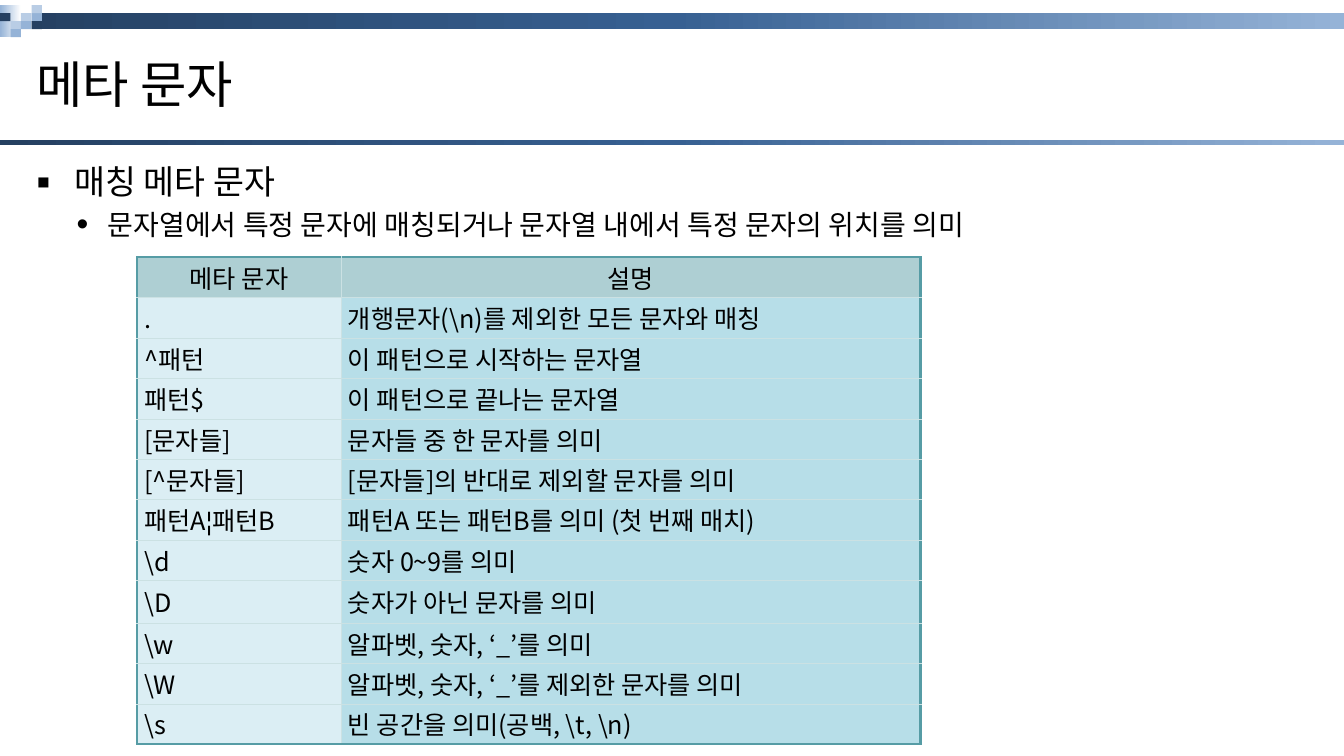
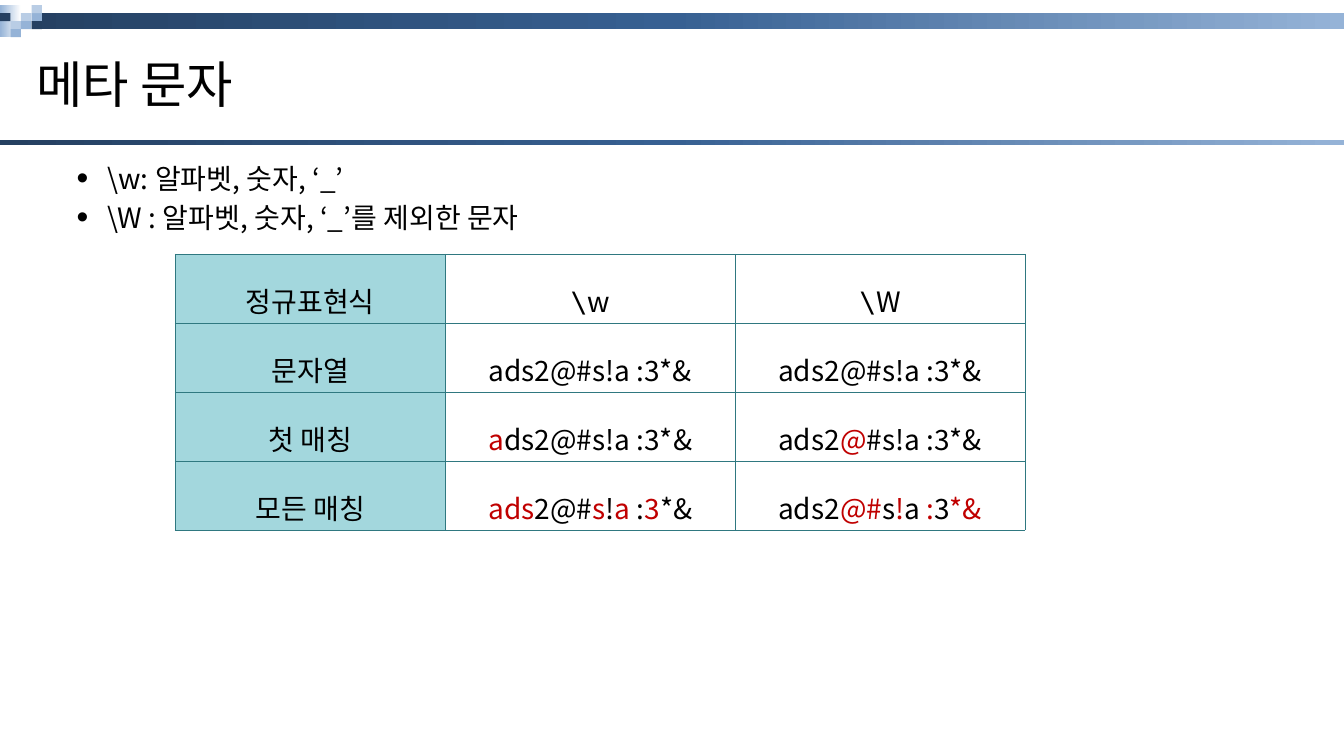
from lxml.etree import SubElement as Sub
from pptx import Presentation
from pptx.dml.color import RGBColor as Rgb
from pptx.enum.shapes import MSO_SHAPE as Shape
from pptx.enum.text import MSO_ANCHOR as Anchor, PP_ALIGN as Align
from pptx.oxml.ns import qn
from pptx.util import Pt

HUES = {
    "navy": "254061", "blue": "376092", "light": "95B3D7", "pale": "B9CDE5",
    "white": "FFFFFF", "black": "000000", "red": "C00000",
    "head": "AECFD3", "key": "DBEEF4", "note": "B7DEE8", "label": "A3D7DD",
    "frame": "569CA5", "rule": "CBE1E3", "grid": "2F7880",
}
FACE, SANS, MONO = "Noto Sans CJK KR", "Arial", "DejaVu Sans Mono"
WIDE, HIGH = 960, 540
TITLE = "메타 문자"
BAND = ("navy", "blue", "light")
# Column, row and colour of each tile in the corner mosaic
TILES = [(2, 1, "pale"), (3, 1, "light"), (1, 2, "pale"), (2, 2, "light"),
         (3, 2, "navy"), (1, 3, "light"), (0, 1, "navy"), (3, 0, "pale")]
TILE_W, TILE_H, TILE_TOP = 7.5, 5.75, 3.6
# Bullet sign, text size, left margin and hanging indent for each level
LEVELS = [("▪", 24, 27.4, 27.4), ("•", 20, 51.1, 22.3)]

SIGNS = [
    (".", "개행문자(\\n)를 제외한 모든 문자와 매칭"),
    ("^패턴", "이 패턴으로 시작하는 문자열"),
    ("패턴$", "이 패턴으로 끝나는 문자열"),
    ("[문자들]", "문자들 중 한 문자를 의미"),
    ("[^문자들]", "[문자들]의 반대로 제외할 문자를 의미"),
    ([("패턴A", "black", FACE), ("¦", "black", SANS), ("패턴B", "black", FACE)],
     "패턴A 또는 패턴B를 의미 (첫 번째 매치)"),
    ("\\d", "숫자 0~9를 의미"),
    ("\\D", "숫자가 아닌 문자를 의미"),
    ("\\w", "알파벳, 숫자, ‘_’를 의미"),
    ("\\W", "알파벳, 숫자, ‘_’를 제외한 문자를 의미"),
    ("\\s", "빈 공간을 의미(공백, \\t, \\n)"),
]


def hue(name):
    return Rgb.from_string(HUES[name])


def place(shape, left, top, width, height):
    shape.left, shape.top = Pt(left), Pt(top)
    shape.width, shape.height = Pt(width), Pt(height)


def write(par, text, size):
    """Add text, given as a string or as (text, colour, face) runs."""
    runs = [(text, "black", FACE)] if isinstance(text, str) else text
    for words, tint, face in runs:
        run = par.add_run()
        run.text = words
        run.font.size, run.font.name = Pt(size), face
        run.font.color.rgb = hue(tint)
        Sub(run.font._element, qn("a:ea"), typeface=face)


def mark(text):
    """Split at bars into runs that alternate black and red."""
    parts = enumerate(text.split("|"))
    return [(part, ("black", "red")[i % 2], FACE) for i, part in parts if part]


def escape(letter):
    return [("\\", "black", MONO), (letter, "black", FACE)]


def box(slide, area, *tints):
    """Draw a plain rectangle; several tints make a gradient."""
    shape = slide.shapes.add_shape(Shape.RECTANGLE, *map(Pt, area))
    shape.shadow.inherit = False
    shape.line.fill.background()
    shape.fill.solid()
    shape.fill.fore_color.rgb = hue(tints[0])
    if len(tints) > 1:
        props = shape.element.spPr
        solid = props.find(qn("a:solidFill"))
        grad = Sub(props, qn("a:gradFill"), rotWithShape="1")
        props.replace(solid, grad)
        stops = Sub(grad, qn("a:gsLst"))
        for i, tint in enumerate(tints):
            stop = Sub(stops, qn("a:gs"), pos=str(100000 * i // (len(tints) - 1)))
            Sub(stop, qn("a:srgbClr"), val=HUES[tint])
        Sub(grad, qn("a:lin"), ang="0", scaled="0")
    return shape


def dress(layout, slide):
    """Draw the shared bands, then move them from the slide to its layout."""
    parts = [box(slide, (0, 9.4, WIDE, 11.4), *BAND),
             box(slide, (0, TILE_TOP, 30, 4 * TILE_H), "light", "white", "white")]
    for col, row, tint in TILES:
        area = (col * TILE_W, TILE_TOP + row * TILE_H, TILE_W, TILE_H)
        parts.append(box(slide, area, tint))
    parts.append(box(slide, (0, 100, WIDE, 3.7), *BAND))
    for i, part in enumerate(parts):
        part.element.nvSpPr.cNvPr.id = 100 + i
        layout.shapes.element.insert(2 + i, part.element)


def fit(layout):
    """Set the title and body areas for every slide."""
    for hold in layout.placeholders:
        if hold.placeholder_format.idx == 0:
            place(hold, 18.7, 25.9, 922.4, 67.7)
        elif hold.placeholder_format.idx == 1:
            place(hold, 18.7, 111.6, 922.4, 408.2)


def fill_in(slide, items):
    """Write the title and a list of (level, text) items."""
    head = slide.shapes.title.text_frame
    head.vertical_anchor = Anchor.MIDDLE
    head.paragraphs[0].alignment = Align.LEFT
    write(head.paragraphs[0], TITLE, 36)
    frame = slide.placeholders[1].text_frame
    for i, (level, text) in enumerate(items):
        par = frame.add_paragraph() if i else frame.paragraphs[0]
        sign, size, left, hang = LEVELS[level]
        par.level = level
        props = par._p.get_or_add_pPr()
        props.set("marL", str(Pt(left)))
        props.set("indent", str(-Pt(hang)))
        Sub(props, qn("a:buSzPct"), val="120000")
        Sub(props, qn("a:buFont"), typeface=SANS)
        Sub(props, qn("a:buChar"), char=sign)
        write(par, text, size)


def edge(cell, side, tint, width):
    line = Sub(cell._tc.get_or_add_tcPr(), qn("a:ln" + side), w=str(Pt(width)))
    Sub(Sub(line, qn("a:solidFill")), qn("a:srgbClr"), val=HUES[tint])


def add_grid(slide, spot, cols, rows):
    area = (*spot, sum(cols), sum(rows))
    grid = slide.shapes.add_table(len(rows), len(cols), *map(Pt, area)).table
    grid.first_row = grid.horz_banding = False
    for col, width in zip(grid.columns, cols):
        col.width = Pt(width)
    for row, height in zip(grid.rows, rows):
        row.height = Pt(height)
    return grid


def set_cell(cell, text, size, align, tint, edges):
    """Fill one cell; edges holds (colour, width) for left, right, top, bottom."""
    cell.margin_left = cell.margin_right = Pt(5.1)
    cell.margin_top = cell.margin_bottom = Pt(1.4)
    cell.vertical_anchor = Anchor.MIDDLE
    for side, style in zip("LRTB", edges):
        edge(cell, side, *style)
    if tint:
        cell.fill.solid()
        cell.fill.fore_color.rgb = hue(tint)
    else:
        cell.fill.background()
    par = cell.text_frame.paragraphs[0]
    par.alignment = align
    write(par, text, size)
    return par


def sign_table(slide):
    data = [("메타 문자", "설명")] + SIGNS
    rows = [28.9] * len(data)
    rows[8] = 30.2
    grid = add_grid(slide, (97.9, 183.6), (145.6, 414), rows)
    last = len(data) - 1
    for r, pair in enumerate(data):
        for c, text in enumerate(pair):
            outer = (c == 0, c == 1, r == 0, r == last)
            edges = [("frame", 1.7) if out else ("rule", 0.28) for out in outer]
            tint = ("key", "note")[c] if r else "head"
            align = Align.JUSTIFY if r else Align.CENTER
            set_cell(grid.cell(r, c), text, 18, align, tint, edges)


def match_table(slide):
    data = [
        ("정규표현식", escape("w"), escape("W")),
        ("문자열", "ads2@#s!a :3*&", "ads2@#s!a :3*&"),
        ("첫 매칭", mark("|a|ds2@#s!a :3*&"), mark("ads2|@|#s!a :3*&")),
        ("모든 매칭", mark("|ads|2@#|s|!|a| :|3|*&"),
         mark("ads2|@#|s|!|a| :|3|*&")),
    ]
    grid = add_grid(slide, (125, 181.4), (193.2, 207, 207), [49] * len(data))
    for r, row in enumerate(data):
        for c, text in enumerate(row):
            par = set_cell(grid.cell(r, c), text, 20, Align.CENTER,
                           None if c else "label", [("grid", 0.28)] * 4)
            par.line_spacing = 1.6


def main():
    deck = Presentation()
    deck.slide_width, deck.slide_height = Pt(WIDE), Pt(HIGH)
    layout = deck.slide_layouts[1]
    fit(layout)

    signs = deck.slides.add_slide(layout)
    dress(layout, signs)
    fill_in(signs, [
        (0, "매칭 메타 문자"),
        (1, "문자열에서 특정 문자에 매칭되거나 문자열 내에서 특정 문자의 위치를 의미"),
    ])
    sign_table(signs)

    words = deck.slides.add_slide(layout)
    fill_in(words, [
        (1, "\\w: 알파벳, 숫자, ‘_’"),
        (1, "\\W : 알파벳, 숫자, ‘_’를 제외한 문자"),
    ])
    match_table(words)

    deck.save("out.pptx")


if __name__ == "__main__":
    main()
